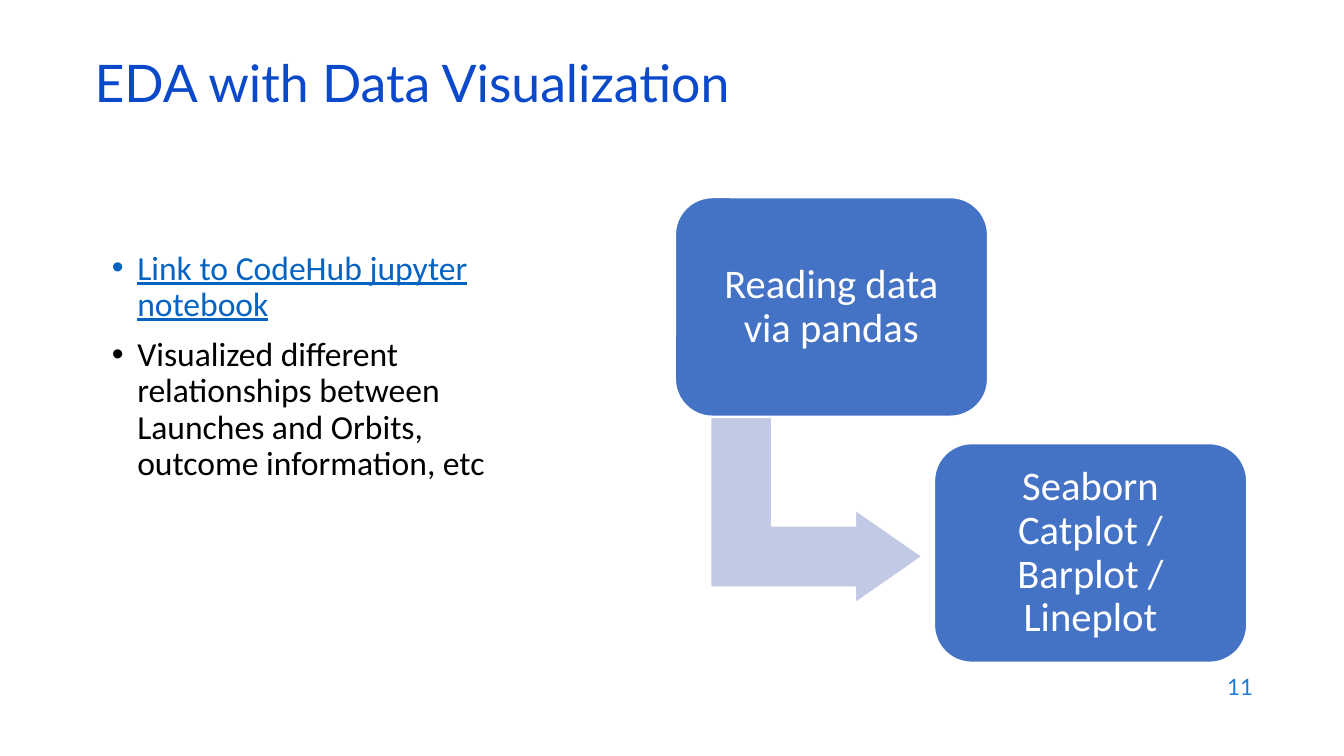
from dataclasses import dataclass

import pptx
import pptx.dml.color
import pptx.enum.shapes
import pptx.enum.text
import pptx.oxml.ns
import pptx.shapes.autoshape
import pptx.slide
import pptx.text.text
import pptx.util
from lxml import etree

Cm = pptx.util.Cm
Pt = pptx.util.Pt
RGBColor = pptx.dml.color.RGBColor
Align = pptx.enum.text.PP_ALIGN
Anchor = pptx.enum.text.MSO_ANCHOR
Preset = pptx.enum.shapes.MSO_SHAPE

TITLE_BLUE = RGBColor(0x0B, 0x49, 0xCB)
NUMBER_BLUE = RGBColor(0x1C, 0x7D, 0xDB)
LINK_BLUE = RGBColor(0x05, 0x63, 0xC1)
STEP_BLUE = RGBColor(0x44, 0x72, 0xC4)
ARROW_BLUE = RGBColor(0xC1, 0xC9, 0xE4)
BLACK = RGBColor(0, 0, 0)
WHITE = RGBColor(255, 255, 255)

BULLET_INDENT = Cm(0.64)
STEP_WIDTH, STEP_HEIGHT = 7.87, 5.51


@dataclass(frozen=True)
class Frame:
    left: float
    top: float
    width: float
    height: float

    def lengths(self) -> list[pptx.util.Length]:
        return [Cm(value) for value in (self.left, self.top, self.width, self.height)]


@dataclass(frozen=True)
class Bullet:
    text: str
    color: RGBColor
    underline: bool
    space_before: int


@dataclass(frozen=True)
class Step:
    text: str
    left: float
    top: float


BULLETS = [
    Bullet("Link to CodeHub jupyter notebook", LINK_BLUE, True, 0),
    Bullet(
        "Visualized different relationships between Launches and Orbits, "
        "outcome information, etc",
        BLACK, False, 10,
    ),
]
STEPS = [
    Step("Reading data via pandas", 17.02, 4.98),
    Step("Seaborn Catplot / Barplot / Lineplot", 23.55, 11.18),
]


def apply(target: object, values: dict) -> None:
    for name, value in values.items():
        setattr(target, name, value)


def write(paragraph: pptx.text.text._Paragraph, text: str, color: RGBColor,
          layout: dict, font: dict) -> None:
    paragraph.text = text
    apply(paragraph, layout)
    apply(paragraph.runs[0].font, font)
    paragraph.runs[0].font.color.rgb = color


def add_bullet_mark(paragraph: pptx.text.text._Paragraph) -> None:
    properties = paragraph._p.get_or_add_pPr()
    properties.set("marL", str(BULLET_INDENT))
    properties.set("indent", str(-BULLET_INDENT))
    etree.SubElement(properties, pptx.oxml.ns.qn("a:buFont"), typeface="Arial")
    etree.SubElement(properties, pptx.oxml.ns.qn("a:buChar"), char="•")


def add_block(slide: pptx.slide.Slide, preset: Preset, frame: Frame,
              color: RGBColor) -> pptx.shapes.autoshape.Shape:
    block = slide.shapes.add_shape(preset, *frame.lengths())
    block.shadow.inherit = False
    block.fill.solid()
    block.fill.fore_color.rgb = color
    block.line.color.rgb = WHITE
    block.line.width = Pt(1)
    return block


def add_title(slide: pptx.slide.Slide, frame: Frame) -> None:
    title = slide.shapes.title
    apply(title, dict(zip(("left", "top", "width", "height"), frame.lengths())))
    apply(title.text_frame, {
        "auto_size": pptx.enum.text.MSO_AUTO_SIZE.NONE,
        "vertical_anchor": Anchor.MIDDLE,
        "word_wrap": True,
    })
    write(title.text_frame.paragraphs[0], "EDA with Data Visualization", TITLE_BLUE,
          {"alignment": Align.LEFT, "line_spacing": 0.7},
          {"name": "Lato", "size": Pt(37)})


def add_page_number(slide: pptx.slide.Slide, frame: Frame) -> None:
    number = slide.shapes.add_textbox(*frame.lengths()).text_frame
    apply(number, {"word_wrap": True, "vertical_anchor": Anchor.MIDDLE})
    write(number.paragraphs[0], "11", NUMBER_BLUE,
          {"alignment": Align.RIGHT}, {"name": "Lato", "size": Pt(16)})


def add_bullets(slide: pptx.slide.Slide, frame: Frame) -> None:
    summary = slide.shapes.add_textbox(*frame.lengths()).text_frame
    summary.word_wrap = True
    for index, bullet in enumerate(BULLETS):
        paragraph = summary.add_paragraph() if index else summary.paragraphs[0]
        add_bullet_mark(paragraph)
        write(paragraph, bullet.text, bullet.color,
              {"line_spacing": 0.9, "space_before": Pt(bullet.space_before)},
              {"name": "Calibri", "size": Pt(24), "underline": bullet.underline})


def add_arrow(slide: pptx.slide.Slide, frame: Frame) -> None:
    arrow = add_block(slide, Preset.BENT_UP_ARROW, frame, ARROW_BLUE)
    arrow.rotation = 90
    for index, value in enumerate((0.33, 0.25, 0.36)):
        arrow.adjustments[index] = value


def add_step(slide: pptx.slide.Slide, step: Step) -> None:
    frame = Frame(step.left, step.top, STEP_WIDTH, STEP_HEIGHT)
    block = add_block(slide, Preset.ROUNDED_RECTANGLE, frame, STEP_BLUE)
    block.adjustments[0] = 0.17
    sides = ("left", "top", "right", "bottom")
    apply(block.text_frame, {f"margin_{side}": Cm(0.5) for side in sides})
    apply(block.text_frame, {"word_wrap": True, "vertical_anchor": Anchor.MIDDLE})
    write(block.text_frame.paragraphs[0], step.text, WHITE,
          {"alignment": Align.CENTER, "line_spacing": 0.9},
          {"name": "Calibri", "size": Pt(29)})


def main() -> None:
    deck = pptx.Presentation()
    apply(deck, {"slide_width": Cm(33.87), "slide_height": Cm(19.05)})
    slide = deck.slides.add_slide(deck.slide_layouts[5])
    add_title(slide, Frame(2.13, 1.5, 29.21, 1.52))
    add_page_number(slide, Frame(24.21, 16.74, 7.62, 1.12))
    add_bullets(slide, Frame(2.57, 6.2, 10.92, 9.37))
    add_arrow(slide, Frame(18.24, 10.19, 4.67, 5.33))
    for step in STEPS:
        add_step(slide, step)
    deck.save("out.pptx")


if __name__ == "__main__":
    main()
